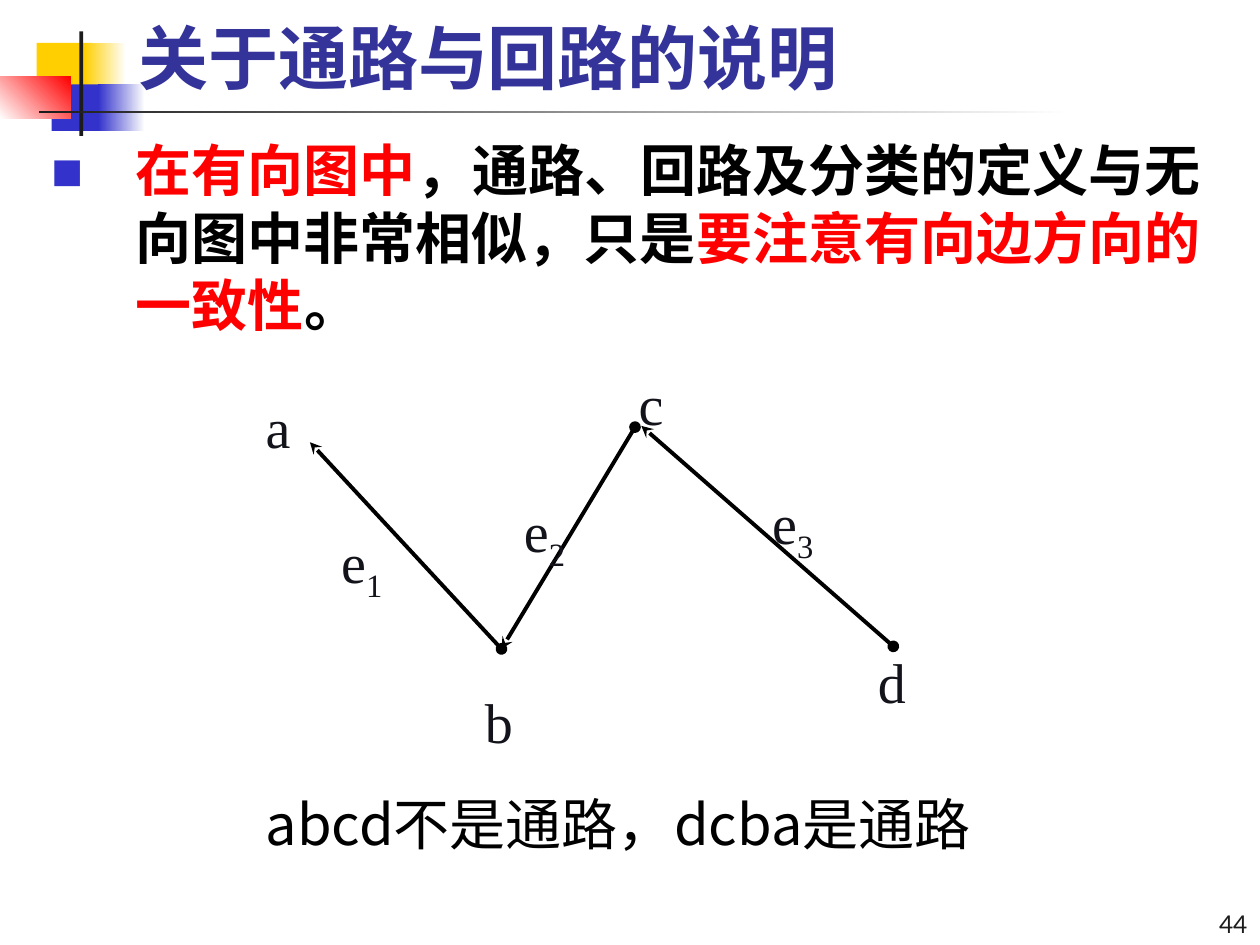
import pptx
import pptx.dml.color
import pptx.enum.shapes
import pptx.enum.text
import pptx.oxml
import pptx.oxml.ns
import pptx.util
import lxml.etree

# The slide is a grid of 100 columns by 75 rows with square cells.
COLUMNS, ROWS = 100, 75
CELL = pptx.util.Inches(0.1)
LATO, SERIF, CJK = "Lato", "Times New Roman", "Noto Sans CJK SC"
GOLD, BLUE, RED, WHITE = "FFCF01", "3333CC", "FF0000", "FFFFFF"
DARK, NAVY, INK, BLACK = "1C1C1C", "333399", "13131B", "000000"
ALIGN = pptx.enum.text.PP_ALIGN
ANCHOR = pptx.enum.text.MSO_ANCHOR


def color(code):
    return pptx.dml.color.RGBColor.from_string(code)


def cells(*counts):
    return [round(count * CELL) for count in counts]


def add_child(parent, tag, **attributes):
    child = lxml.etree.SubElement(parent, pptx.oxml.ns.qn(tag))
    for name, value in attributes.items():
        child.set(name, value)
    return child


def add_block(page, place, first, last=None, angle=0):
    """Rectangle in one colour, or fading from the first to the last."""
    block = page.shapes.add_shape(
        pptx.enum.shapes.MSO_SHAPE.RECTANGLE, *cells(*place))
    block.shadow.inherit = False
    block.line.fill.background()
    if last is None:
        block.fill.solid()
        block.fill.fore_color.rgb = color(first)
        return
    block.fill.gradient()
    block.fill.gradient_angle = angle
    for stop, code in zip(block.fill.gradient_stops, (first, last)):
        stop.color.rgb = color(code)


def add_bullet(para, indent, code, percent):
    properties = para._p.get_or_add_pPr()
    properties.set("marL", str(indent))
    properties.set("indent", str(-indent))
    tint = add_child(properties, "a:buClr")
    add_child(tint, "a:srgbClr", val=code)
    add_child(properties, "a:buSzPct", val=str(percent * 1000))
    add_child(properties, "a:buFont", typeface=LATO)
    add_child(properties, "a:buChar", char="■")


def add_text(page, place, spans, size, font, bold=False,
             align=ALIGN.LEFT, anchor=ANCHOR.TOP, bullet=None):
    """Text box with one paragraph; spans are (text, colour, baseline)."""
    frame = page.shapes.add_textbox(*cells(*place)).text_frame
    layout = {"word_wrap": True, "vertical_anchor": anchor,
              "auto_size": pptx.enum.text.MSO_AUTO_SIZE.NONE}
    for name, value in layout.items():
        setattr(frame, name, value)
    para = frame.paragraphs[0]
    para.alignment = align
    if bullet:
        add_bullet(para, *bullet)
    look = {"size": pptx.util.Pt(size), "name": font, "bold": bold}
    for text, code, baseline in spans:
        span = para.add_run()
        span.text = text
        for name, value in look.items():
            setattr(span.font, name, value)
        span.font.color.rgb = color(code)
        properties = span._r.get_or_add_rPr()
        add_child(properties, "a:ea", typeface=font)
        if baseline:
            properties.set("baseline", str(baseline * 1000))


def add_edge(page, start, end):
    """Directed edge: a dot at its start and an arrowhead at its end."""
    edge = page.shapes.add_connector(
        pptx.enum.shapes.MSO_CONNECTOR.STRAIGHT, *cells(*start, *end))
    edge.line.width = pptx.util.Pt(2.25)
    edge.line.color.rgb = color(BLACK)
    line = edge.line._get_or_add_ln()
    add_child(line, "a:headEnd", type="oval")
    add_child(line, "a:tailEnd", type="stealth")
    add_child(edge._element.spPr, "a:effectLst")


def add_decoration(page):
    add_block(page, (2.9, 3.4, 4.4, 3.8), GOLD)
    add_block(page, (6.7, 3.4, 3.3, 3.8), GOLD, WHITE)
    add_block(page, (4.1, 6.7, 4.2, 3.7), BLUE)
    add_block(page, (7.8, 6.7, 3.7, 3.7), BLUE, WHITE)
    add_block(page, (0, 6.1, 5.6, 3.3), WHITE, RED, angle=45)
    add_block(page, (6.3, 2.5, 0.3, 8.3), DARK)
    add_block(page, (3.1, 8.8, 81.9, 0.2), DARK, WHITE)


def add_graph(page):
    b = (39.8, 51.5)
    for start, end in ((b, (24.6, 35.1)),
                       ((50.4, 33.9), b),
                       ((70.9, 51.3), (50.9, 33.8))):
        add_edge(page, start, end)
    # Vertex and edge names; an edge name has a subscript number
    labels = (("a", "", 20.1, 30.7, 3.8), ("b", "", 37.5, 54.1, 4.7),
              ("c", "", 49.7, 28.8, 4.8), ("d", "", 68.7, 50.9, 4.7),
              ("e", "1", 26.1, 41.4, 6.1), ("e", "2", 40.6, 38.9, 7.6),
              ("e", "3", 60.3, 38.3, 7.6))
    for letter, number, left, top, width in labels:
        spans = [(letter, INK, 0)]
        if number:
            spans.append((number, INK, -25))
        add_text(page, (left, top, width, 6.3), spans, 32, SERIF)


def main():
    deck = pptx.Presentation()
    deck.slide_width, deck.slide_height = cells(COLUMNS, ROWS)
    page = deck.slides.add_slide(deck.slide_layouts[6])

    add_decoration(page)

    # Page number, title and statement
    add_text(page, (86.7, 70.8, 13.3, 4.2), [("44", DARK, 0)], 14, LATO,
             align=ALIGN.RIGHT, anchor=ANCHOR.BOTTOM)
    add_text(page, (10, 0, 90, 8.3), [("关于通路与回路的说明", NAVY, 0)],
             40, LATO, bold=True, anchor=ANCHOR.BOTTOM)
    statement = [
        ("在有向图中", RED, 0),
        ("，通路、回路及分类的定义与无向图中非常相似，只是", BLACK, 0),
        ("要注意有向边方向的一致性", RED, 0),
        ("。", BLACK, 0),
    ]
    add_text(page, (3.1, 10.3, 94.4, 17), statement, 32, LATO, bold=True,
             bullet=(cells(6.7)[0], BLUE, 60))

    # Directed graph and its conclusion
    add_graph(page)
    add_text(page, (20.1, 62.2, 65.8, 6.3),
             [("abcd不是通路，dcba是通路", BLACK, 0)], 32, CJK)

    deck.save("out.pptx")


if __name__ == "__main__":
    main()
